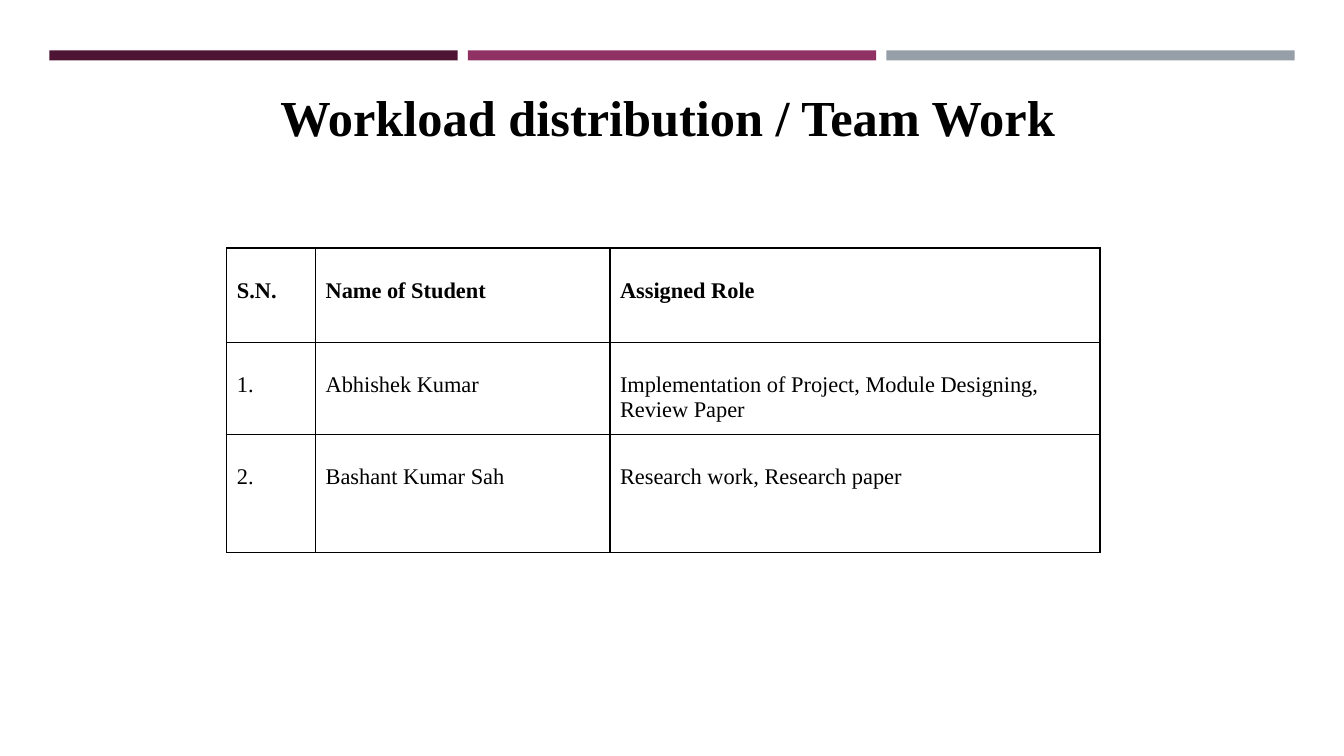
from dataclasses import dataclass

from lxml.etree import SubElement
from pptx import Presentation
from pptx.dml.color import RGBColor as RGB
from pptx.enum.shapes import MSO_SHAPE as SHAPE
from pptx.enum.text import MSO_ANCHOR as ANCHOR, PP_ALIGN as ALIGN
from pptx.oxml.ns import qn
from pptx.util import Inches, Pt


@dataclass(frozen=True)
class Theme:
    font: str = "Times New Roman"
    ink: str = "000000"
    bars: tuple = ("4D1434", "903163", "969FA7")
    title_size: int = 36
    table_size: int = 16
    border: int = 1


THEME = Theme()
WIDTH, HEIGHT = 13.33, 7.5
BAR_LEFT, BAR_TOP, BAR_WIDTH, BAR_HEIGHT, BAR_GAP = 0.49, 0.5, 4.05, 0.1, 0.1
TABLE_LEFT, TABLE_TOP = 2.25, 2.46
COLS = (0.88, 2.92, 4.86)
ROWS = (0.94, 0.91, 1.17)
TEAM = (
    ("S.N.", "Name of Student", "Assigned Role"),
    ("1.", "Abhishek Kumar", "Implementation of Project, Module Designing, Review Paper"),
    ("2.", "Bashant Kumar Sah", "Research work, Research paper"),
)


def style_text(p, size, bold):
    p.alignment = ALIGN.LEFT
    p.font.name = THEME.font
    p.font.size = Pt(size)
    p.font.bold = bold
    p.font.color.rgb = RGB.from_string(THEME.ink)


def add_bars(slide):
    for i, color in enumerate(THEME.bars):
        left = BAR_LEFT + i * (BAR_WIDTH + BAR_GAP)
        sp = slide.shapes.add_shape(SHAPE.RECTANGLE, Inches(left), Inches(BAR_TOP),
                                    Inches(BAR_WIDTH), Inches(BAR_HEIGHT))
        sp.shadow.inherit = False
        sp.fill.solid()
        sp.fill.fore_color.rgb = RGB.from_string(color)
        sp.line.fill.background()


def set_title(slide, text):
    sp = slide.shapes.title
    sp.left, sp.top, sp.width, sp.height = map(Inches, (2.68, 0.8, 8.22, 0.71))
    tf = sp.text_frame
    tf.text = text
    tf.word_wrap = True
    tf.vertical_anchor = ANCHOR.TOP
    style_text(tf.paragraphs[0], THEME.title_size, True)


def set_borders(cell):
    """Draw all four edges, placed ahead of the fill as the schema requires."""
    tcPr = cell._tc.get_or_add_tcPr()
    for i, side in enumerate(("a:lnL", "a:lnR", "a:lnT", "a:lnB")):
        ln = SubElement(tcPr, qn(side), w=str(Pt(THEME.border)))
        fill = SubElement(ln, qn("a:solidFill"))
        SubElement(fill, qn("a:srgbClr"), val=THEME.ink)
        tcPr.insert(i, ln)


def add_team_table(slide, rows):
    table = slide.shapes.add_table(len(ROWS), len(COLS), Inches(TABLE_LEFT), Inches(TABLE_TOP),
                                   Inches(sum(COLS)), Inches(sum(ROWS))).table
    table.horz_banding = False
    for col, width in zip(table.columns, COLS):
        col.width = Inches(width)
    for r, (row, height) in enumerate(zip(table.rows, ROWS)):
        row.height = Inches(height)
        for cell, text in zip(row.cells, rows[r]):
            cell.text = text
            cell.margin_top = Inches(0.3)
            cell.fill.background()
            style_text(cell.text_frame.paragraphs[0], THEME.table_size, r == 0)
            set_borders(cell)


def main():
    prs = Presentation()
    prs.slide_width, prs.slide_height = Inches(WIDTH), Inches(HEIGHT)
    slide = prs.slides.add_slide(prs.slide_layouts.get_by_name("Title Only"))
    add_bars(slide)
    set_title(slide, "Workload distribution / Team Work")
    add_team_table(slide, TEAM)
    prs.save("out.pptx")


if __name__ == "__main__":
    main()
